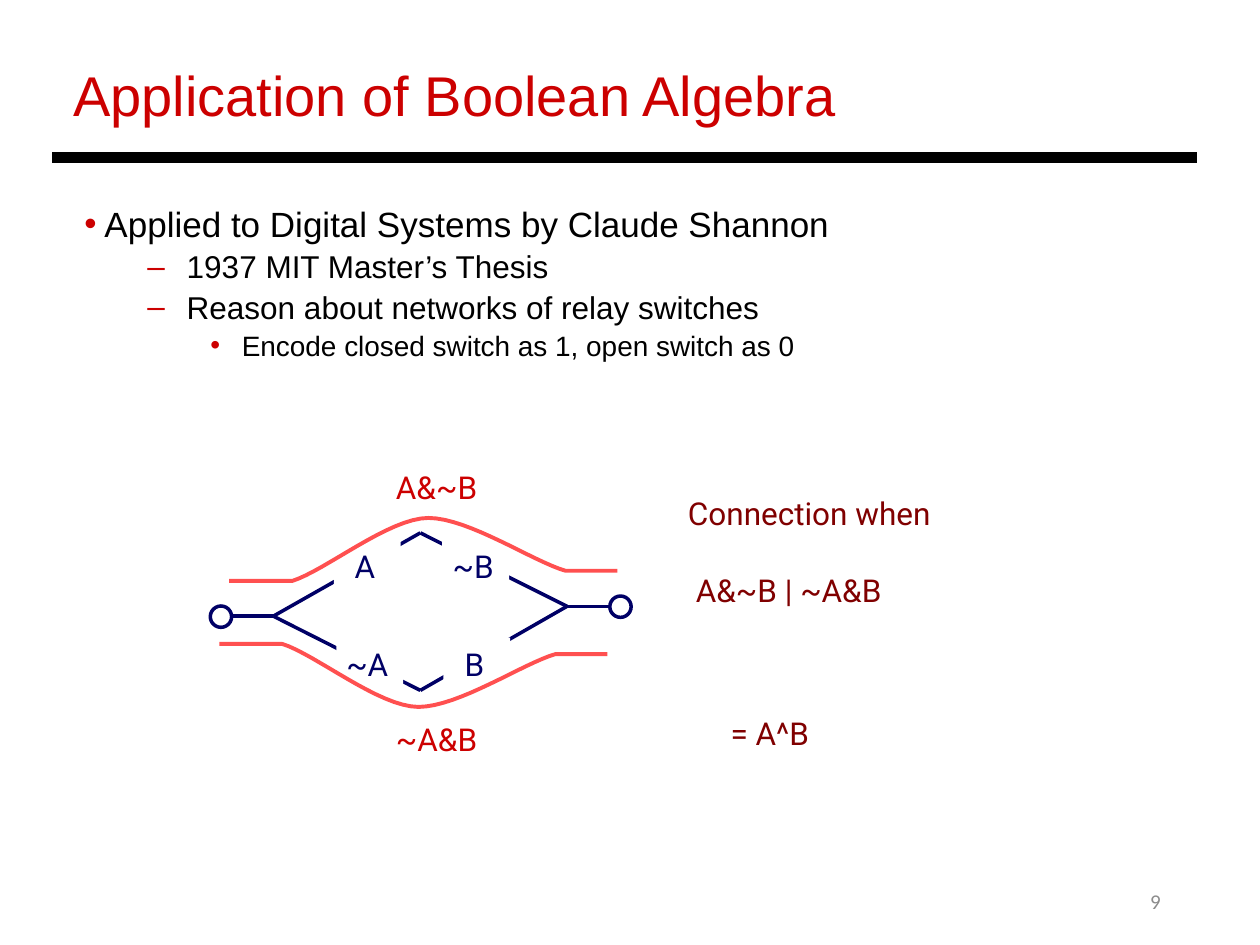
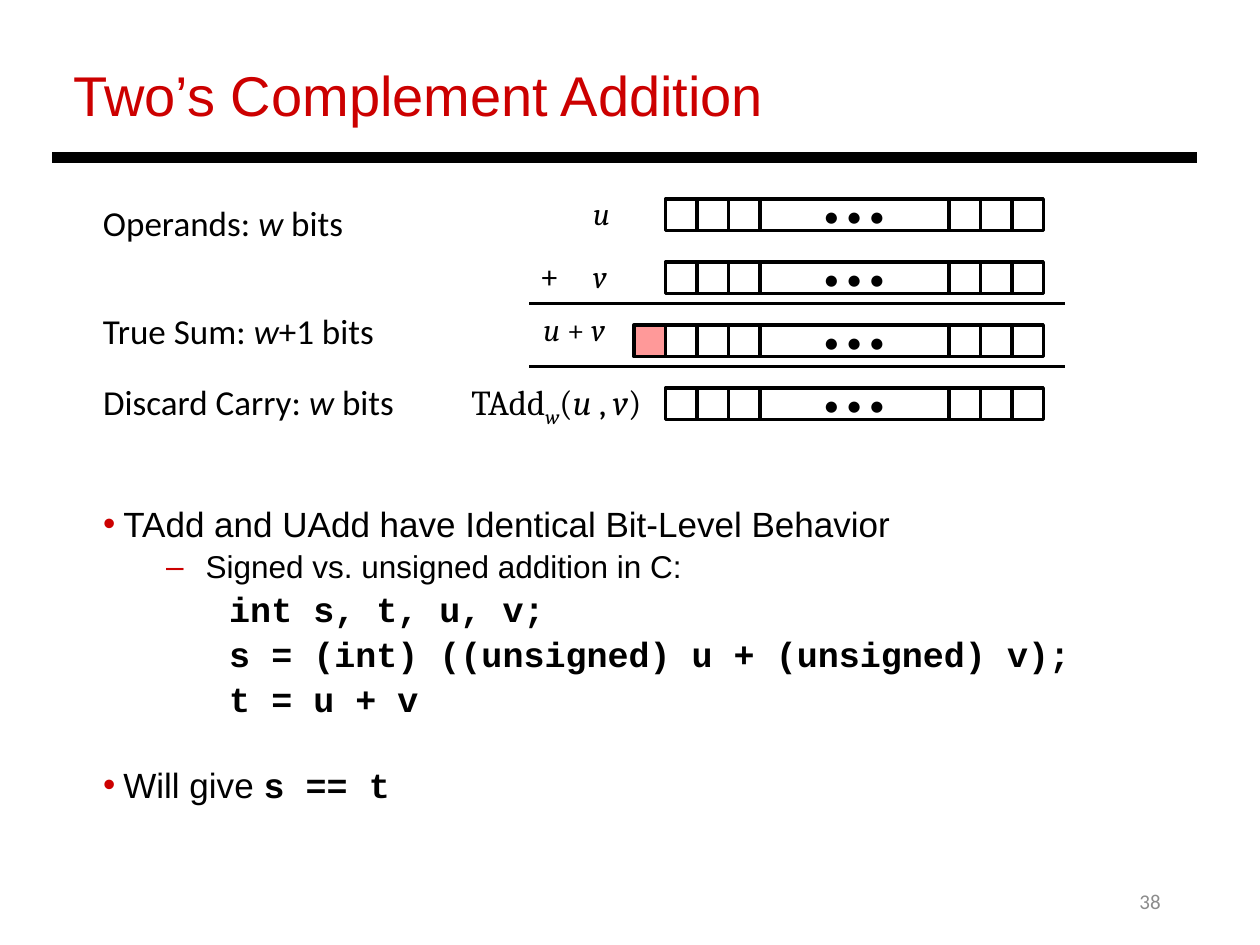
from pptx import Presentation
from pptx.dml.color import RGBColor
from pptx.enum.shapes import MSO_CONNECTOR as LINE, MSO_SHAPE as SHAPE
from pptx.enum.text import MSO_ANCHOR as ANCHOR, MSO_AUTO_SIZE as FIT, PP_ALIGN as ALIGN
from pptx.oxml.ns import qn
from pptx.util import Pt
from lxml.etree import SubElement

RED = RGBColor(0xCC, 0x00, 0x00)
CORAL = RGBColor(0xFF, 0x50, 0x50)
PINK = RGBColor(0xFF, 0x99, 0x99)
MAROON = RGBColor(0x80, 0x00, 0x00)
NAVY = RGBColor(0x00, 0x00, 0x66)
GREY = RGBColor(0x8C, 0x8C, 0x8C)
BLACK = RGBColor(0x00, 0x00, 0x00)
WHITE = RGBColor(0xFF, 0xFF, 0xFF)

SANS, OFFICE, MATH, CODE, LABEL = "Arial", "Calibri", "Cambria", "Courier New", "Roboto"
ITALIC = {"italic": True}
BIG_BULLET = {"size": 20, "bullet": "•", "left": 11.5, "hang": 11.5}
DASH = {"size": 18, "bullet": "–", "level": 1, "left": 58.5, "hang": 22.5, "before": 1.5}
DOT = {"size": 16, "bullet": "•", "level": 2, "left": 90, "hang": 18, "before": 1.5}
CODE_LINE = {"size": 20, "face": CODE, "bold": True, "left": 72, "before": 1.5}


def write(frame, text, face=SANS, size=18, color=BLACK, bold=False, align=ALIGN.LEFT,
          level=0, left=0, hang=0, before=0, spacing=None, bullet=None):
    paragraph = frame.paragraphs[0]
    if paragraph.runs:
        paragraph = frame.add_paragraph()
    paragraph.alignment = align
    paragraph.level = level
    paragraph.space_before = Pt(before)
    if spacing:
        paragraph.line_spacing = spacing
    props = paragraph._p.get_or_add_pPr()
    props.set("marL", str(Pt(left)))
    props.set("indent", str(Pt(-hang)))
    if bullet:
        tint = SubElement(props, qn("a:buClr"))
        SubElement(tint, qn("a:srgbClr"), val=str(RED))
        SubElement(props, qn("a:buChar"), char=bullet)
    else:
        SubElement(props, qn("a:buNone"))
    parts = [(text, {})] if isinstance(text, str) else text
    for words, change in parts:
        run = paragraph.add_run()
        run.text = words
        run.font.name = change.get("face", face)
        run.font.size = Pt(size)
        run.font.bold = change.get("bold", bold)
        run.font.italic = change.get("italic", False)
        run.font.color.rgb = color
        if "base" in change:
            run._r.get_or_add_rPr().set("baseline", str(change["base"]))


def draw_line(slide, start, end, color, width):
    line = slide.shapes.add_connector(LINE.STRAIGHT, *map(Pt, start + end))
    line.line.color.rgb = color
    line.line.width = Pt(width)
    SubElement(line._element.spPr, qn("a:effectLst"))


deck = Presentation()
deck.slide_width, deck.slide_height = Pt(720), Pt(540)

pages = []
for heading, heading_width, number, body_box in [
    ("Application of Boolean Algebra", 454.3, "9", (41, 112.3, 646, 94.3)),
    ("Two’s Complement Addition", 411.8, "38", (51.8, 283.7, 646, 174.2)),
]:
    slide = deck.slides.add_slide(deck.slide_layouts[1])
    title, body = slide.placeholders
    for holder, box in [(title, (34.6, 31, heading_width, 46)), (body, body_box)]:
        holder.left, holder.top, holder.width, holder.height = map(Pt, box)
        holder.text_frame.auto_size = FIT.NONE
        holder.text_frame.vertical_anchor = ANCHOR.TOP
    title.text_frame.word_wrap = False
    write(title.text_frame, heading, size=32, color=RED)
    page_number = slide.shapes.add_textbox(Pt(508.3), Pt(500.4), Pt(162), Pt(28.8)).text_frame
    page_number.word_wrap = True
    page_number.vertical_anchor = ANCHOR.MIDDLE
    write(page_number, number, face=OFFICE, size=12, color=GREY, align=ALIGN.RIGHT)
    draw_line(slide, (30, 90), (684, 90), BLACK, 6)
    pages.append((slide, body.text_frame))

boolean, shannon = pages[0]
write(shannon, "Applied to Digital Systems by Claude Shannon", **BIG_BULLET)
write(shannon, "1937 MIT Master’s Thesis", **DASH)
write(shannon, "Reason about networks of relay switches", **DASH)
write(shannon, "Encode closed switch as 1, open switch as 0", **DOT)

west, north, east, south = (156.2, 352.1), (240.2, 304.5), (324, 346.5), (240.2, 394.5)
for start, end in [(west, north), (west, south), (north, east), (south, east),
                   (east, (348.5, 346.5)), ((132.4, 352.1), west)]:
    draw_line(boolean, start, end, NAVY, 2)

for switch, x, y in [("A", 190.8, 308.2), ("~A", 192.2, 364.3),
                     ("~B", 252.7, 308.2), ("B", 253.4, 364.3)]:
    relay = boolean.shapes.add_shape(SHAPE.RECTANGLE, Pt(x), Pt(y), Pt(38.2), Pt(30.2))
    relay.shadow.inherit = False
    relay.fill.solid()
    relay.fill.fore_color.rgb = WHITE
    relay.line.fill.background()
    frame = relay.text_frame
    frame.vertical_anchor = ANCHOR.TOP
    frame.margin_left = frame.margin_top = frame.margin_bottom = Pt(4.3)
    write(frame, switch, face=LABEL, color=NAVY, align=ALIGN.CENTER)

for x, y in [(120.2, 346.3), (348.5, 340.6)]:
    terminal = boolean.shapes.add_shape(SHAPE.OVAL, Pt(x), Pt(y), Pt(12.2), Pt(12.2))
    terminal.shadow.inherit = False
    terminal.fill.solid()
    terminal.fill.fore_color.rgb = WHITE
    terminal.line.color.rgb = NAVY
    terminal.line.width = Pt(2)

rise = [(36, 36), (54.7, 30.2), (91.4, 0), (113.8, 0)]
fall = [(113.8, 0), (136.8, 0), (174.2, 25.2), (192.2, 30.2)]
STEPS = 16
route = [(0, 36)]
for a, b, c, d in (rise, fall):
    for step in range(STEPS + 1):
        t = step / STEPS
        weights = (1 - t) ** 3, 3 * t * (1 - t) ** 2, 3 * t * t * (1 - t), t ** 3
        route.append(tuple(sum(w * p[axis] for w, p in zip(weights, (a, b, c, d)))
                           for axis in (0, 1)))
route.append((221.8, 30.2))

for x, y, flip in [(131, 296, 1), (125.3, 404, -1)]:
    points = [(Pt(x + dx), Pt(y + flip * dy)) for dx, dy in route]
    pen = boolean.shapes.build_freeform(*points[0])
    pen.add_line_segments(points[1:], close=False)
    current = pen.convert_to_shape()
    current.shadow.inherit = False
    current.fill.background()
    current.line.color.rgb = CORAL
    current.line.width = Pt(2.25)

for lines, x, y, width, height, style in [
    ([("A&~B", 0, 0)], 220.3, 265.7, 58.3, 30.2,
     {"color": RED, "align": ALIGN.CENTER, "spacing": 0.9}),
    ([("~A&B", 0, 0)], 220.3, 409.7, 58.3, 30.2,
     {"color": RED, "align": ALIGN.CENTER, "spacing": 0.9}),
    ([("Connection when", 0, 0), ("A&~B | ~A&B", 4.5, 22.5)], 388.8, 277.9, 212.4, 152.6,
     {"color": MAROON}),
    ([("= A^B", 0, 0)], 401, 403.9, 77.8, 36.7, {"color": MAROON, "align": ALIGN.CENTER}),
]:
    frame = boolean.shapes.add_textbox(Pt(x), Pt(y), Pt(width), Pt(height)).text_frame
    frame.word_wrap = len(lines) > 1
    frame.margin_left = frame.margin_top = frame.margin_right = frame.margin_bottom = Pt(4.3)
    for words, left, before in lines:
        write(frame, words, face=LABEL, left=left, before=before, **style)

addition, behavior = pages[1]
write(behavior, "TAdd and UAdd have Identical Bit-Level Behavior", **BIG_BULLET)
write(behavior, "Signed vs. unsigned addition in C:", **DASH)
for statement in ("int s, t, u, v;", "s = (int) ((unsigned) u + (unsigned) v);", "t = u + v"):
    write(behavior, statement, **CODE_LINE)
write(behavior, [("Will give ", {}), ("s == t", {"face": CODE, "bold": True})],
      before=25.5, **BIG_BULLET)

BIT, ROW_GAP, WORD_LEFT, WORD_TOP = 18, 36, 380.2, 113.8
SUM_ROW = 2
for row in range(4):
    cells = [(column, BIT, WHITE) for column in (0, 1, 2, 9, 10, 11)] + [(3, 6 * BIT, WHITE)]
    if row == SUM_ROW:
        cells.append((-1, BIT, PINK))
    for column, width, color in cells:
        bit = addition.shapes.add_shape(
            SHAPE.RECTANGLE, Pt(WORD_LEFT + column * BIT), Pt(WORD_TOP + row * ROW_GAP),
            Pt(width), Pt(BIT))
        bit.shadow.inherit = False
        bit.fill.solid()
        bit.fill.fore_color.rgb = color
        bit.line.color.rgb = BLACK
        bit.line.width = Pt(2)
        if width > BIT:
            bit.text_frame.word_wrap = False
            bit.text_frame.vertical_anchor = ANCHOR.MIDDLE
            write(bit.text_frame, "• • •", face=OFFICE, align=ALIGN.CENTER)

for y in (173.5, 209.5):
    draw_line(addition, (302.4, y), (608.4, y), BLACK, 2)

u, v, w = [(letter, ITALIC) for letter in "uvw"]
t_add = [("TAdd", {}), ("w", {"italic": True, "base": -25000}), ("(", {}), u,
         (" , ", {}), v, (")", {})]
for text, x, y, width, height, style in [
    ([u], 331.9, 107.3, 23.8, 28.8, {"face": MATH}),
    ([v], 331.9, 143.3, 22.3, 28.8, {"face": MATH}),
    ("+", 302.4, 143.3, 25.2, 28.8, {"face": OFFICE}),
    ([("u ", ITALIC), ("+ ", {}), v], 302.4, 173.5, 50.4, 28.8,
     {"face": MATH, "align": ALIGN.RIGHT}),
    ([("Operands: ", {}), w, (" bits", {})], 51.8, 111.6, 153.4, 31.7,
     {"face": OFFICE, "size": 20}),
    ([("True Sum: ", {}), w, ("+1 bits", {})], 51.8, 173.5, 170.6, 31.7,
     {"face": OFFICE, "size": 20}),
    ([("Discard Carry: ", {}), w, (" bits", {})], 51.8, 213.8, 234, 31.7,
     {"face": OFFICE, "size": 20}),
    (t_add, 255.6, 213.8, 118.1, 31.7, {"face": MATH, "size": 20, "align": ALIGN.RIGHT}),
]:
    frame = addition.shapes.add_textbox(Pt(x), Pt(y), Pt(width), Pt(height)).text_frame
    frame.word_wrap = width > 200
    write(frame, text, **style)

deck.save("out.pptx")
